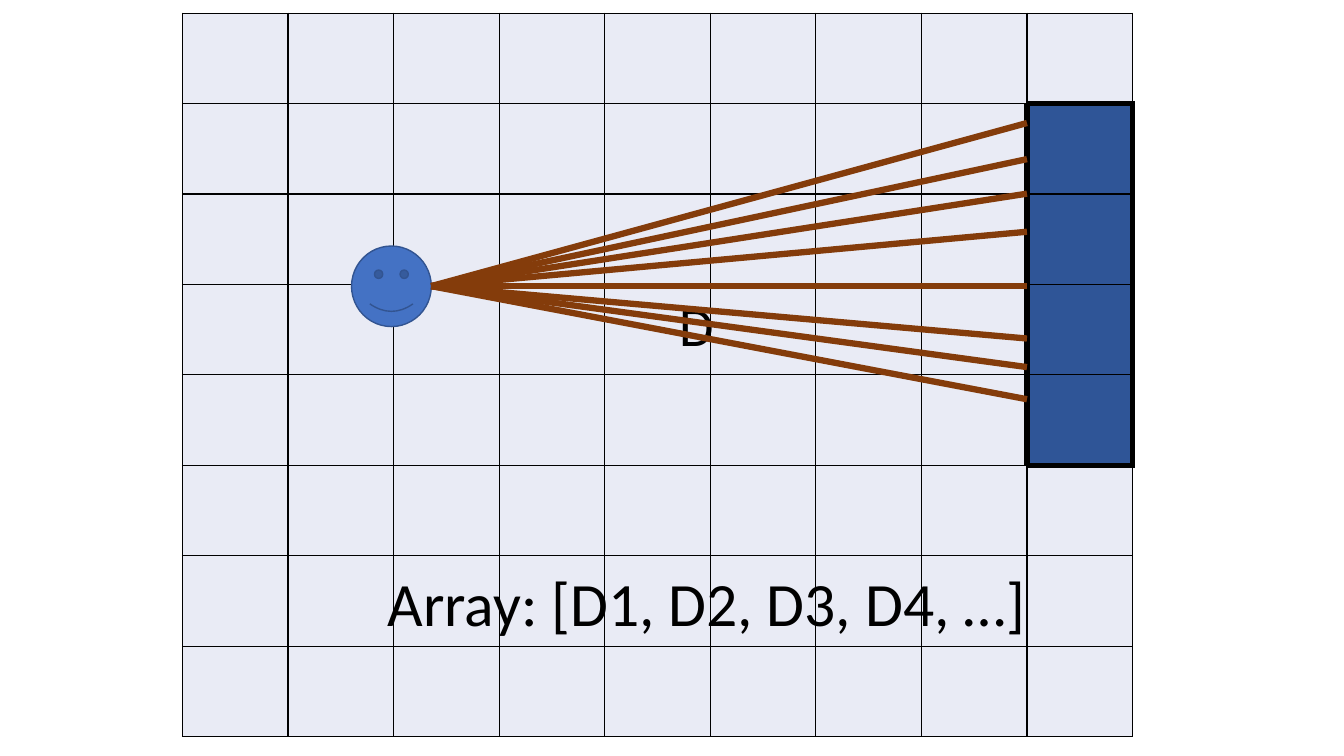
from lxml import etree
from pptx import Presentation
from pptx.dml.color import RGBColor
from pptx.enum.shapes import MSO_CONNECTOR, MSO_SHAPE
from pptx.oxml.ns import qn
from pptx.util import Cm, Pt

STRAIGHT = MSO_CONNECTOR.STRAIGHT
SMILEY = MSO_SHAPE.SMILEY_FACE

BLACK = RGBColor(0x00, 0x00, 0x00)
PALE_BLUE = RGBColor(0xE9, 0xEB, 0xF5)
WALL_BLUE = RGBColor(0x2F, 0x55, 0x97)
FACE_BLUE = RGBColor(0x44, 0x72, 0xC4)
FACE_LINE = RGBColor(0x32, 0x54, 0x91)
RAY_BROWN = RGBColor(0x84, 0x3C, 0x0B)
THIN, THICK = 1, 4.5

# Content: lengths in centimetres
LABELS = [  # text, left, top, width, height, points
    ("D", 16.87, 7.2, 1.52, 2.03, 40),
    ("Array: [D1, D2, D3, D4, …]", 9.52, 14.12, 20.62, 2.13, 44),
]
RAY_ENDS = [3.1, 10.06, 4.01, 4.88, 5.84, 8.53, 9.25]
EYE_X, EYE_Y = 10.87, 7.21

# Grid: the wall fills part of the last column
ROWS, COLUMNS = 8, 9
GRID_LEFT, GRID_TOP = 4.6, 0.33
COLUMN_WIDTH, ROW_HEIGHT = 2.66, 2.28
WALL = {(row, COLUMNS - 1) for row in range(1, 5)}
WALL_X = GRID_LEFT + (COLUMNS - 1) * COLUMN_WIDTH
SIDES = {"a:lnL": (0, -1), "a:lnR": (0, 1), "a:lnT": (-1, 0), "a:lnB": (1, 0)}


def add_borders(cell, row, column):
    """Thick where the wall meets anything else, thin elsewhere."""
    properties = cell._tc.get_or_add_tcPr()
    for index, (tag, (down, right)) in enumerate(SIDES.items()):
        neighbour = (row + down, column + right)
        outline = ((row, column) in WALL) != (neighbour in WALL)
        width = Pt(THICK if outline else THIN)
        border = etree.Element(qn(tag), w=str(width))
        fill = etree.SubElement(border, qn("a:solidFill"))
        etree.SubElement(fill, qn("a:srgbClr"), val=str(BLACK))
        properties.insert(index, border)


def add_ray(start_x, start_y, end_x, end_y):
    ray = slide.shapes.add_connector(
        STRAIGHT, Cm(start_x), Cm(start_y), Cm(end_x), Cm(end_y))
    ray.line.color.rgb = RAY_BROWN
    ray.line.width = Pt(THICK)
    etree.SubElement(ray._element.spPr, qn("a:effectLst"))


def add_label(text, left, top, width, height, size):
    label = slide.shapes.add_textbox(Cm(left), Cm(top), Cm(width), Cm(height))
    label.text_frame.word_wrap = True
    label.text_frame.text = text
    font = label.text_frame.paragraphs[0].runs[0].font
    font.name = "Calibri"
    font.size = Pt(size)
    font.color.rgb = BLACK


presentation = Presentation()
presentation.slide_width, presentation.slide_height = Cm(33.87), Cm(19.05)
slide = presentation.slides.add_slide(presentation.slide_layouts[6])

# Grid with the wall
table = slide.shapes.add_table(
    ROWS, COLUMNS, Cm(GRID_LEFT), Cm(GRID_TOP),
    Cm(COLUMNS * COLUMN_WIDTH), Cm(ROWS * ROW_HEIGHT)).table
table.first_row = table.horz_banding = False
for row in range(ROWS):
    for column in range(COLUMNS):
        cell = table.cell(row, column)
        cell.fill.solid()
        cell.fill.fore_color.rgb = (
            WALL_BLUE if (row, column) in WALL else PALE_BLUE)
        add_borders(cell, row, column)

# Observer
face = slide.shapes.add_shape(SMILEY, Cm(8.86), Cm(6.2), Cm(2.01), Cm(2.03))
face.shadow.inherit = False
face.fill.solid()
face.fill.fore_color.rgb = FACE_BLUE
face.line.color.rgb = FACE_LINE
face.line.width = Pt(THIN)

# Middle ray, one piece per grid column
stops = [EYE_X] + [GRID_LEFT + column * COLUMN_WIDTH
                   for column in range(3, COLUMNS)]
for start, end in zip(stops, stops[1:]):
    add_ray(start, EYE_Y, end, EYE_Y)

# Distance label, slanted rays above it, then the caption
distance, caption = LABELS
add_label(*distance)
for end_y in RAY_ENDS:
    add_ray(EYE_X, EYE_Y, WALL_X, end_y)
add_label(*caption)

presentation.save("out.pptx")
